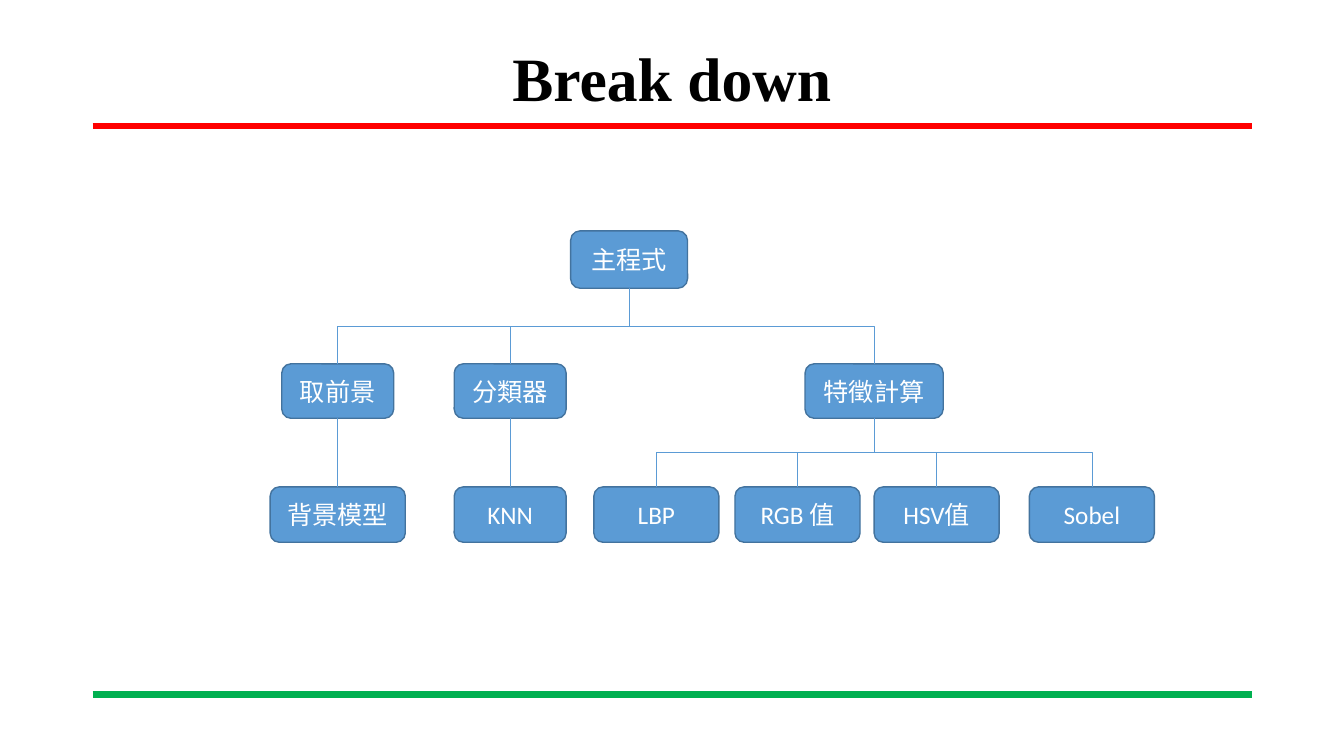
from dataclasses import dataclass

from lxml.etree import SubElement
from pptx import Presentation
from pptx.dml.color import RGBColor as Rgb
from pptx.enum.shapes import MSO_CONNECTOR as Link, MSO_SHAPE as Shape
from pptx.enum.text import MSO_ANCHOR as Anchor, PP_ALIGN as Align
from pptx.oxml.ns import qn
from pptx.shapes.autoshape import Shape as Box
from pptx.shapes.connector import Connector
from pptx.slide import Slide
from pptx.text.text import TextFrame
from pptx.util import Inches, Pt


@dataclass(frozen=True)
class Theme:
    """Colours, fonts and point sizes."""
    red: str = "FF0000"
    green: str = "00B050"
    blue: str = "5B9BD5"
    edge: str = "43739E"
    black: str = "000000"
    white: str = "FFFFFF"
    serif: str = "Times New Roman"
    sans: str = "Calibri"
    title: float = 44
    label: float = 18
    rule: float = 4.5
    rim: float = 1
    link: float = 0.5


@dataclass(frozen=True)
class Node:
    """A box of the tree, placed by its middle, with the boxes below it."""
    text: str
    mid: float
    wide: float
    kids: tuple["Node", ...] = ()


@dataclass(frozen=True)
class Row:
    """The top and height shared by one level of the tree."""
    top: float
    high: float


@dataclass(frozen=True)
class Rule:
    """A thick line across the slide."""
    y: float
    tint: str


THEME = Theme()
ROWS = (Row(2.29, 0.57), Row(3.61, 0.54), Row(4.83, 0.55))
RULES = (Rule(1.25, THEME.red), Rule(6.89, THEME.green))
TREE = Node("主程式", 6.24, 1.16, (
    Node("取前景", 3.35, 1.11, (Node("背景模型", 3.35, 1.34),)),
    Node("分類器", 5.06, 1.11, (Node("KNN", 5.06, 1.11),)),
    Node("特徵計算", 8.67, 1.37, (
        Node("LBP", 6.51, 1.24),
        Node("RGB 值", 7.91, 1.24),
        Node("HSV值", 9.29, 1.24),
        Node("Sobel", 10.83, 1.24),
    )),
))


def write(frame: TextFrame, text: str, face: str, size: float, tint: str,
          bold: bool = False, lead: float = 1.0) -> None:
    """Put one centred run into a text frame."""
    frame.word_wrap = True
    frame.vertical_anchor = Anchor.MIDDLE
    para = frame.paragraphs[0]
    para.alignment = Align.CENTER
    para.line_spacing = lead
    run = para.add_run()
    run.text = text
    run.font.name = face
    run.font.size = Pt(size)
    run.font.bold = bold
    run.font.color.rgb = Rgb.from_string(tint)


def add_line(slide: Slide, kind: Link, ends: tuple[float, float, float, float],
             tint: str, width: float) -> Connector:
    """Add a flat connector between two points."""
    line = slide.shapes.add_connector(kind, *(Inches(end) for end in ends))
    line.line.color.rgb = Rgb.from_string(tint)
    line.line.width = Pt(width)
    SubElement(line._element.spPr, qn("a:effectLst"))
    return line


def add_box(slide: Slide, node: Node, row: Row) -> Box:
    """Add the rounded box of a node."""
    box = slide.shapes.add_shape(
        Shape.ROUNDED_RECTANGLE, Inches(node.mid - node.wide / 2),
        Inches(row.top), Inches(node.wide), Inches(row.high))
    box.shadow.inherit = False
    box.fill.solid()
    box.fill.fore_color.rgb = Rgb.from_string(THEME.blue)
    box.line.color.rgb = Rgb.from_string(THEME.edge)
    box.line.width = Pt(THEME.rim)
    write(box.text_frame, node.text, THEME.sans, THEME.label, THEME.white)
    return box


def turn(line: Connector, start: float, top: float, end: float, low: float) -> None:
    """Rotate an elbow so that it leaves and arrives vertically."""
    span, drop = abs(end - start), low - top
    line.left = Inches((start + end - drop) / 2)
    line.top = Inches((top + low - span) / 2)
    line.width, line.height = Inches(drop), Inches(span)
    right = end > start
    form = line._element.spPr.find(qn("a:xfrm"))
    form.set("rot", str((270 if right else 90) * 60000))
    form.set("flipH", "1" if right else "0")


def add_tree(slide: Slide, node: Node, level: int = 0) -> Box:
    """Add a node, its branches and the links between them."""
    row = ROWS[level]
    box = add_box(slide, node, row)
    for kid in node.kids:
        child = add_tree(slide, kid, level + 1)
        ends = (node.mid, row.top + row.high, kid.mid, ROWS[level + 1].top)
        bent = node.mid != kid.mid
        kind = Link.ELBOW if bent else Link.STRAIGHT
        line = add_line(slide, kind, ends, THEME.blue, THEME.link)
        line.begin_connect(box, 2)
        line.end_connect(child, 0)
        if bent:
            turn(line, *ends)
    return box


def main() -> None:
    """Build the slide and save it."""
    deck = Presentation()
    deck.slide_width, deck.slide_height = Inches(13.33), Inches(7.5)
    slide = deck.slides.add_slide(deck.slide_layouts[6])
    for rule in RULES:
        add_line(slide, Link.STRAIGHT, (0.92, rule.y, 12.42, rule.y),
                 rule.tint, THEME.rule)
    title = slide.shapes.add_textbox(
        Inches(2), Inches(0.11), Inches(9.33), Inches(1.4))
    write(title.text_frame, "Break down", THEME.serif, THEME.title,
          THEME.black, bold=True, lead=0.9)
    add_tree(slide, TREE)
    deck.save("out.pptx")


if __name__ == "__main__":
    main()
